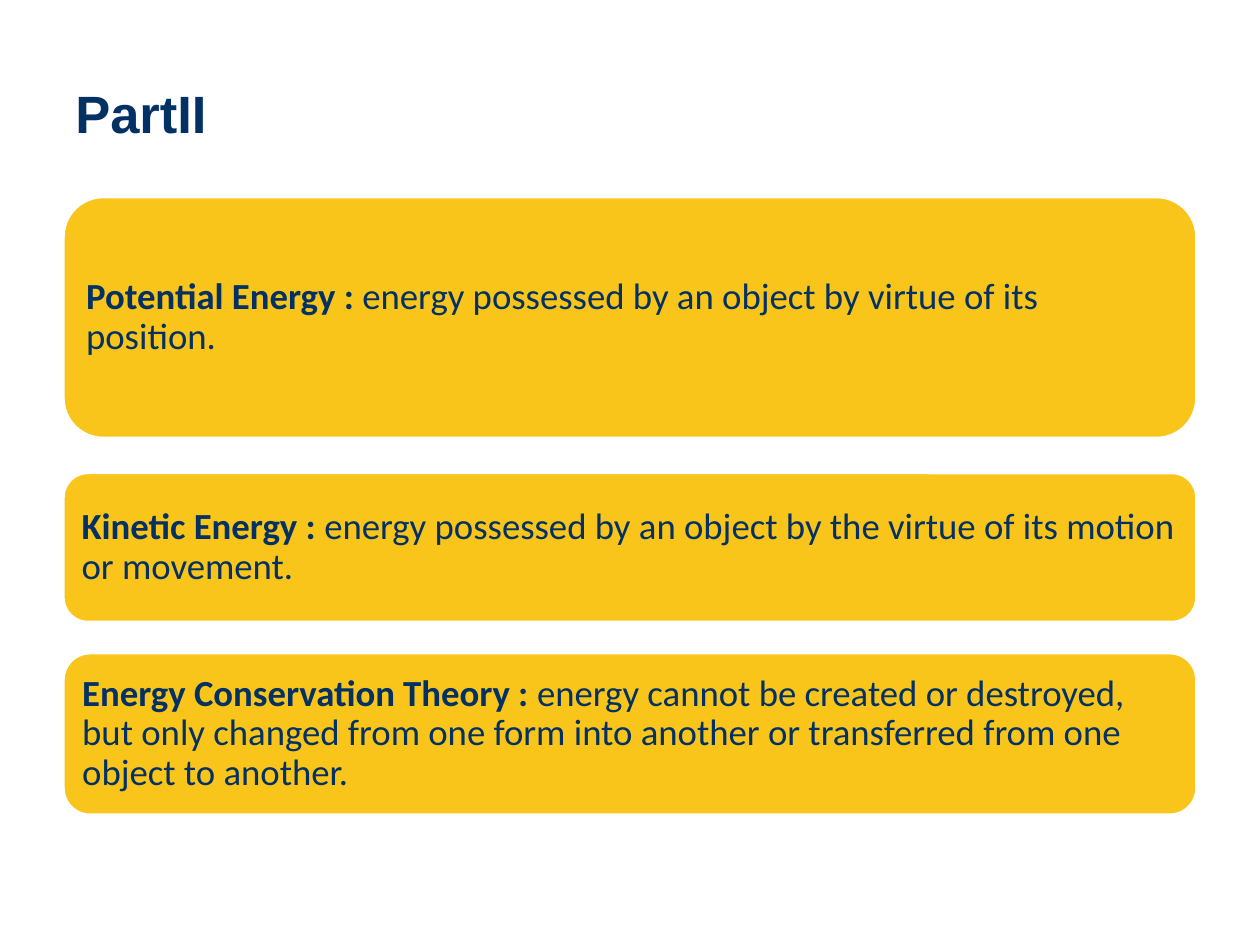
"""Build the Part II slide with three energy definitions."""
from pptx import Presentation
from pptx.dml.color import RGBColor
from pptx.enum.shapes import MSO_SHAPE
from pptx.enum.text import MSO_ANCHOR, PP_ALIGN
from pptx.util import Inches, Pt

ROUNDED = MSO_SHAPE.ROUNDED_RECTANGLE
MIDDLE = MSO_ANCHOR.MIDDLE
LEFT = PP_ALIGN.LEFT

NAVY, YELLOW, WHITE = "033163", "F9C51A", "FFFFFF"
MARGIN, WIDTH = 0.5, 9
TITLE = "PartII"
DEFINITIONS = [
    (1.56, 1.92, "Potential Energy : ",
     "energy possessed by an object by virtue of its position."),
    (3.75, 1.19, "Kinetic Energy : ",
     "energy possessed by an object by the virtue of its motion or movement."),
    (5.18, 1.29, "Energy Conservation Theory : ",
     "energy cannot be created or destroyed, but only changed from one form "
     "into another or transferred from one object to another."),
]


def rgb(value):
    return RGBColor.from_string(value)


def style(p, name, size):
    p.alignment = LEFT
    p.font.name = name
    p.font.size = Pt(size)
    p.font.color.rgb = rgb(NAVY)


def add_title(s):
    box = s.shapes.add_textbox(Inches(MARGIN), Inches(0.35), Inches(WIDTH), Inches(1.08))
    tf = box.text_frame
    tf.word_wrap = True
    tf.vertical_anchor = MIDDLE
    p = tf.paragraphs[0]
    p.text = TITLE
    style(p, "Arial", 30)
    p.font.bold = True


def add_definition(s, top, height, term, meaning):
    sp = s.shapes.add_shape(ROUNDED, Inches(MARGIN), Inches(top), Inches(WIDTH), Inches(height))
    sp.shadow.inherit = False
    sp.fill.solid()
    sp.fill.fore_color.rgb = rgb(YELLOW)
    sp.line.color.rgb = rgb(WHITE)
    sp.line.width = Pt(2)
    tf = sp.text_frame
    tf.word_wrap = True
    tf.vertical_anchor = MIDDLE
    tf.margin_left = tf.margin_right = tf.margin_top = tf.margin_bottom = Inches(0.09)
    p = tf.paragraphs[0]
    p.line_spacing = 0.9
    style(p, "Calibri", 21)
    for text, bold in ((term, True), (meaning, False)):
        r = p.add_run()
        r.text = text
        r.font.bold = bold


def main():
    prs = Presentation()
    prs.slide_width, prs.slide_height = Inches(10), Inches(7.5)
    s = prs.slides.add_slide(prs.slide_layouts[6])
    add_title(s)
    for definition in DEFINITIONS:
        add_definition(s, *definition)
    prs.save("out.pptx")


if __name__ == "__main__":
    main()
